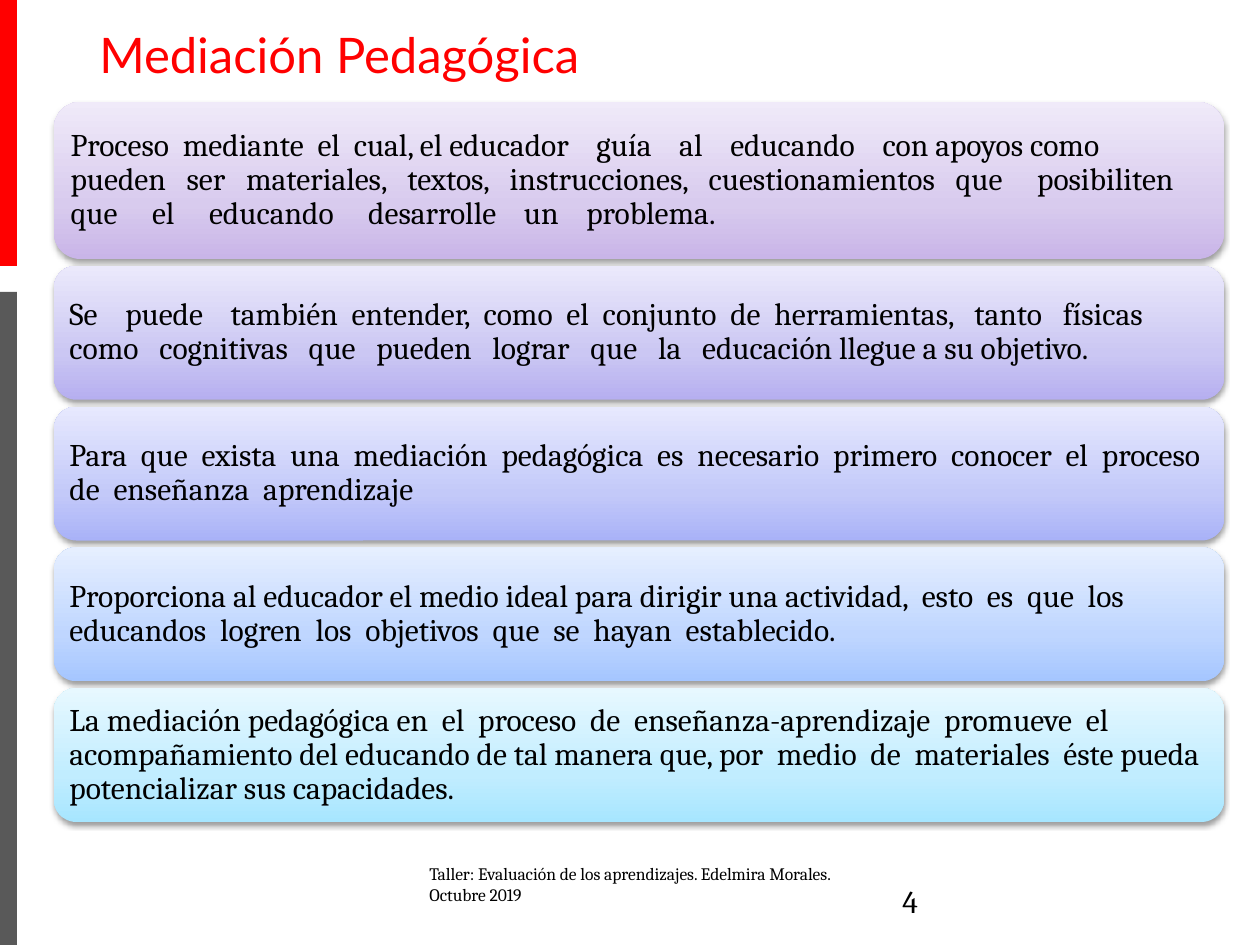
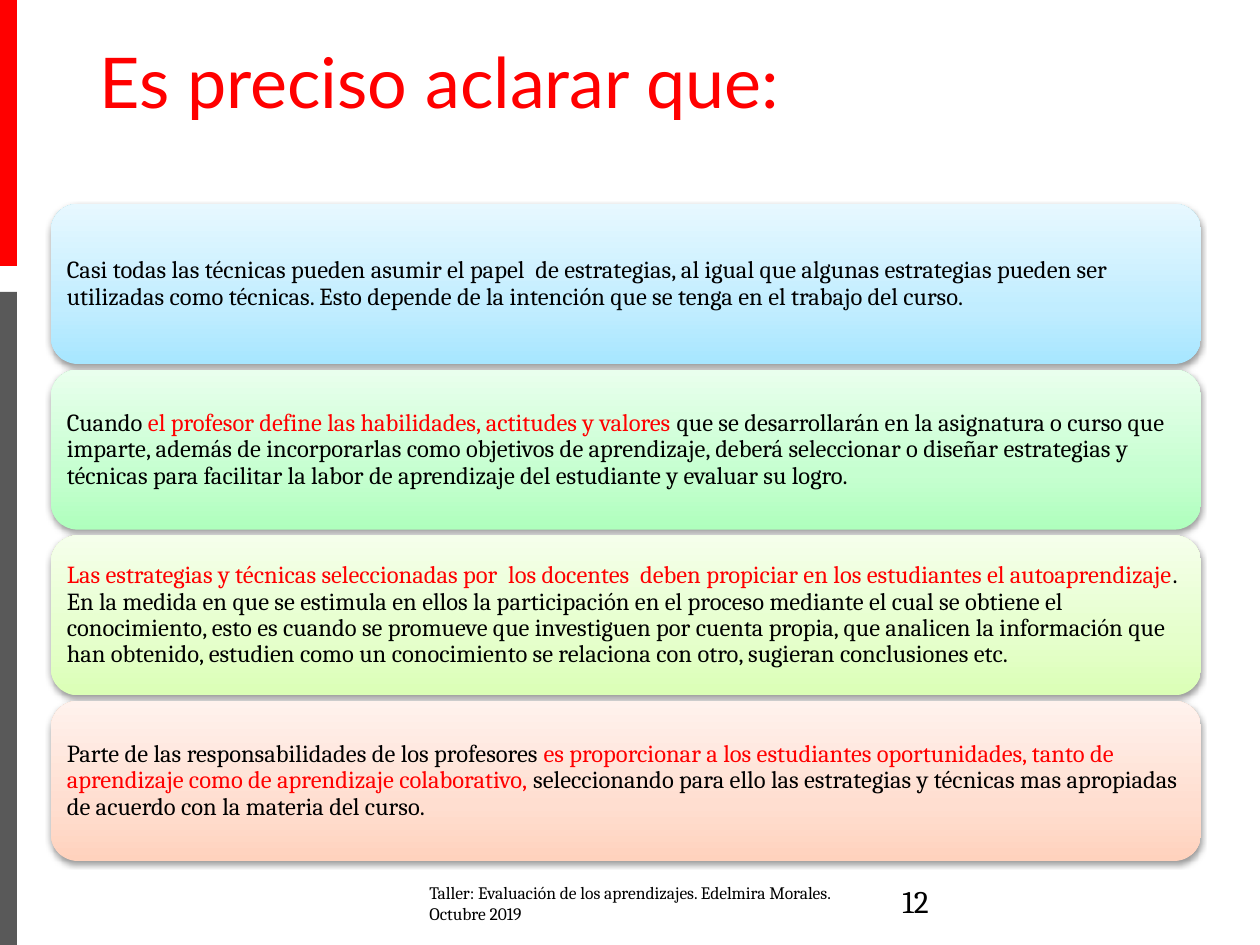
from copy import deepcopy

from lxml import etree
from pptx import Presentation
from pptx import util as u
from pptx.dml.color import RGBColor
from pptx.enum import shapes, text
from pptx.oxml.ns import qn

RED = RGBColor(0xFF, 0x00, 0x00)
GRAY = RGBColor(0x59, 0x59, 0x59)
BLACK = RGBColor(0x00, 0x00, 0x00)
PURPLE = ("C9B5E8", "D8CBEE", "F0EAF9")
VIOLET = ("B6AFF0", "CBC7F3", "EBE9FB")
INDIGO = ("A9B2F8", "C3C9F9", "E7E9FE")
BLUE = ("A5C6FF", "BFD6FF", "E6EFFF")
CYAN = ("A7E6FF", "C1EDFF", "E7F8FF")
GREEN = ("AFFFBD", "C6FFD0", "E9FFED")
LIME = ("DBFFB6", "E5FFCB", "F5FFEB")
PEACH = ("FFD2BD", "FFDED0", "FFF2ED")
STOPS = (0, 0.35, 1)

TITLE_FONT = "Lato"
BODY_FONT = "Cambria"
FOOTER = "Taller: Evaluación de los aprendizajes. Edelmira Morales. Octubre 2019"
SIDE_BANDS = [(0, 266, RED), (292, 653, GRAY)]

# Text between bars is red.
SLIDES = [
    dict(
        title="Mediación Pedagógica", title_size=28, title_top=18, title_height=64,
        number="4", footer_top=857,
        left=54, width=1170, top=102, bottom=822,
        heights=[157, 134, 134, 134, 134], size=18, inset=9,
        cards=[
            (PURPLE, "Proceso  mediante  el  cual, el educador    guía    al    educando    con apoyos como   pueden   ser   materiales,   textos,   instrucciones,   cuestionamientos   que     posibiliten     que     el     educando     desarrolle    un    problema."),
            (VIOLET, "Se    puede    también  entender,  como  el  conjunto  de  herramientas,   tanto   físicas   como   cognitivas   que   pueden   lograr   que   la   educación llegue a su objetivo."),
            (INDIGO, "Para  que  exista  una  mediación  pedagógica  es  necesario  primero  conocer  el  proceso  de  enseñanza  aprendizaje"),
            (BLUE, "Proporciona al educador el medio ideal para dirigir una actividad,  esto  es  que  los  educandos  logren  los  objetivos  que  se  hayan  establecido."),
            (CYAN, "La mediación pedagógica en  el  proceso  de  enseñanza-aprendizaje  promueve  el acompañamiento del educando de tal manera que, por  medio  de  materiales  éste pueda potencializar sus capacidades."),
        ],
    ),
    dict(
        title="Es preciso aclarar que:", title_size=40, title_top=32, title_height=108,
        number="12", footer_top=876,
        left=51, width=1150, top=204, bottom=861,
        heights=[160, 160, 160, 160], size=14, inset=8,
        cards=[
            (CYAN, "Casi todas las técnicas pueden asumir el papel  de estrategias, al igual que algunas estrategias pueden ser utilizadas como técnicas. Esto depende de la intención que se tenga en el trabajo del curso."),
            (GREEN, "Cuando |el profesor define las habilidades, actitudes y valores |que se desarrollarán en la asignatura o curso que imparte, además de incorporarlas como objetivos de aprendizaje, deberá seleccionar o diseñar estrategias y técnicas para facilitar la labor de aprendizaje del estudiante y evaluar su logro."),
            (LIME, "|Las estrategias y técnicas seleccionadas por  los docentes  deben propiciar en los estudiantes el autoaprendizaje|. En la medida en que se estimula en ellos la participación en el proceso mediante el cual se obtiene el conocimiento, esto es cuando se promueve que investiguen por cuenta propia, que analicen la información que han obtenido, estudien como un conocimiento se relaciona con otro, sugieran conclusiones etc."),
            (PEACH, "Parte de las responsabilidades de los profesores |es proporcionar a los estudiantes oportunidades, tanto de aprendizaje como de aprendizaje colaborativo,| seleccionando para ello las estrategias y técnicas mas apropiadas de acuerdo con la materia del curso."),
        ],
    ),
]


def px(value):
    return u.Emu(round(value * 914400 / 126))


def add_label(slide, words, left, top, width, height, size, font=BODY_FONT, color=BLACK):
    frame = slide.shapes.add_textbox(px(left), px(top), px(width), px(height)).text_frame
    frame.word_wrap = True
    paragraph = frame.paragraphs[0]
    paragraph.text = words
    paragraph.font.size = u.Pt(size)
    paragraph.font.name = font
    paragraph.font.color.rgb = color


def add_block(slide, kind, left, top, width, height):
    shape = slide.shapes.add_shape(kind, px(left), px(top), px(width), px(height))
    shape.shadow.inherit = False
    shape.line.fill.background()
    return shape


def add_gradient(shape, colors):
    shape.fill.gradient()
    shape.fill.gradient_angle = 90
    stop_list = shape._element.spPr.find(qn("a:gradFill")).find(qn("a:gsLst"))
    stop_list.insert(1, deepcopy(stop_list[0]))
    for stop, color, position in zip(shape.fill.gradient_stops, colors, STOPS):
        stop.color.rgb = RGBColor.from_string(color)
        stop.position = position


def add_soft_shadow(shape):
    effects = shape._element.spPr.find(qn("a:effectLst"))
    shadow = etree.SubElement(effects, qn("a:outerShdw"), blurRad="40000",
                              dist="20000", dir="5400000", rotWithShape="0")
    color = etree.SubElement(shadow, qn("a:srgbClr"), val="000000")
    etree.SubElement(color, qn("a:alpha"), val="38000")


def add_card(slide, content, colors, words, top, height):
    shape = add_block(slide, shapes.MSO_SHAPE.ROUNDED_RECTANGLE,
                      content["left"], top, content["width"], height)
    add_gradient(shape, colors)
    add_soft_shadow(shape)
    frame = shape.text_frame
    frame.word_wrap = True
    frame.vertical_anchor = text.MSO_ANCHOR.MIDDLE
    inset = px(content["inset"])
    frame.margin_left = frame.margin_right = frame.margin_top = frame.margin_bottom = inset
    paragraph = frame.paragraphs[0]
    paragraph.alignment = text.PP_ALIGN.LEFT
    paragraph.line_spacing = 0.9
    paragraph.font.size = u.Pt(content["size"])
    paragraph.font.name = BODY_FONT
    for index, part in enumerate(words.split("|")):
        if part:
            run = paragraph.add_run()
            run.text = part
            run.font.color.rgb = RED if index % 2 else BLACK


def add_slide(presentation, content):
    slide = presentation.slides.add_slide(presentation.slide_layouts[6])
    for top, height, color in SIDE_BANDS:
        band = add_block(slide, shapes.MSO_SHAPE.RECTANGLE, 0, top, 17, height)
        band.fill.solid()
        band.fill.fore_color.rgb = color
    add_label(slide, content["title"], 87, content["title_top"], 1086,
              content["title_height"], content["title_size"], TITLE_FONT, RED)

    heights = content["heights"]
    free = content["bottom"] - content["top"] - sum(heights)
    gap = free / (len(heights) - 1)
    top = content["top"]
    for (colors, words), height in zip(content["cards"], heights):
        add_card(slide, content, colors, words, top, height)
        top += height + gap

    add_label(slide, FOOTER, 417, content["footer_top"], 426, 50, 10)
    add_label(slide, content["number"], 890, 876, 284, 50, 18)


def main():
    presentation = Presentation()
    presentation.slide_width = px(1260)
    presentation.slide_height = px(945)
    for content in SLIDES:
        add_slide(presentation, content)
    presentation.save("out.pptx")


if __name__ == "__main__":
    main()
